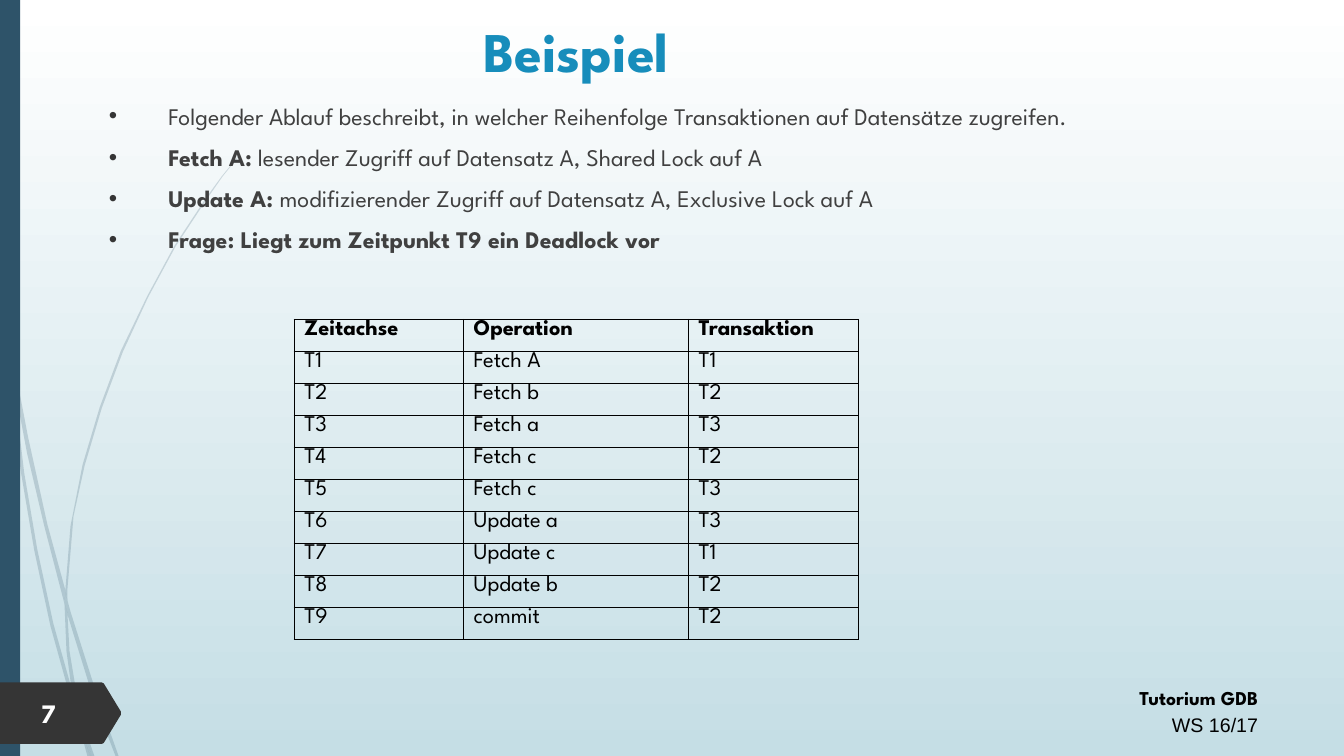
from pptx import Presentation
from pptx.dml.color import RGBColor
from pptx.enum import shapes, text
from pptx.oxml import parse_xml
from pptx.oxml.ns import nsdecls
from pptx.util import Pt

FONT = "League Spartan"
WHITE = RGBColor(0xFF, 0xFF, 0xFF)
BLACK = RGBColor(0, 0, 0)
PALE_BLUE = RGBColor(0xC5, 0xDE, 0xE5)
NAVY = RGBColor(0x2E, 0x53, 0x69)
CHARCOAL = RGBColor(0x35, 0x35, 0x35)
TITLE_BLUE = RGBColor(0x17, 0x8D, 0xBB)
BODY_GRAY = RGBColor(0x40, 0x40, 0x40)
GRID = Pt(0.72)

deck = Presentation()
deck.slide_width, deck.slide_height = Pt(960), Pt(540)
page = deck.slides.add_slide(deck.slide_layouts[6])
background = page.background.fill
background.gradient()
background.gradient_angle = 270
for stop, color in zip(background.gradient_stops, (WHITE, PALE_BLUE)):
    stop.color.rgb = color


def add_outline(points, color):
    builder = page.shapes.build_freeform(*points[0], scale=GRID)
    builder.add_line_segments(points[1:], close=True)
    outline = builder.convert_to_shape()
    outline.shadow.inherit = False
    outline.fill.solid()
    outline.fill.fore_color.rgb = color
    outline.line.fill.background()
    return outline


def add_text(left, top, width, height, lines, size, color, anchor=text.MSO_ANCHOR.MIDDLE):
    frame = page.shapes.add_textbox(Pt(left), Pt(top), Pt(width), Pt(height)).text_frame
    frame.word_wrap = True
    frame.vertical_anchor = anchor
    for index, spans in enumerate(lines):
        para = frame.paragraphs[0] if index == 0 else frame.add_paragraph()
        para.font.name, para.font.size = FONT, Pt(size)
        para.font.color.rgb = color
        for content, bold in spans:
            span = para.add_run()
            span.text, span.font.bold = content, bold
    return frame.paragraphs


stems = [
    [(8, 350), (6, 322), (0, 282), (0, 299), (8, 344)],
    [(44, 522), (64, 599), (65, 586), (47, 520), (28, 434), (11, 345), (13, 376), (27, 450)],
    [(70, 607), (67, 596), (67, 610), (93, 694), (115, 751), (118, 751), (97, 692)],
    [(91, 751), (94, 751), (80, 711)],
    [(71, 683), (53, 619), (37, 545), (24, 469), (13, 376), (8, 350), (13, 410), (21, 470),
     (34, 546), (50, 621), (70, 693), (77, 714), (75, 707)],
    [(64, 599), (66, 646), (71, 683), (73, 692), (80, 711), (79, 706), (69, 646), (67, 610),
     (67, 608)],
    [(67, 584), (73, 512), (84, 462), (101, 405), (122, 349), (147, 295), (174, 245), (205, 198),
     (221, 175), (238, 154), (238, 153), (220, 175), (204, 197), (173, 244), (146, 294),
     (120, 348), (99, 404), (82, 461), (70, 522), (65, 584), (65, 586), (67, 596)],
    [(77, 714), (87, 751), (90, 751)],
    [(67, 608), (67, 596), (65, 586), (64, 599)],
    [(74, 692), (71, 683), (75, 707), (77, 714), (90, 751), (91, 751), (80, 711)],
]
for points in stems:
    stem = add_outline(points, NAVY)
    tint = stem._element.spPr.find(".//{*}srgbClr")
    tint.append(parse_xml(f'<a:alpha {nsdecls("a")} val="20000"/>'))

side_bar = page.shapes.add_shape(shapes.MSO_SHAPE.RECTANGLE, 0, 0, Pt(14.4), Pt(540))
side_bar.shadow.inherit = False
side_bar.fill.solid()
side_bar.fill.fore_color.rgb = NAVY
side_bar.line.fill.background()

footer = add_text(531.4, 483.8, 374.4, 46,
                  [[("Tutorium GDB", True)], [("WS 16/17", False)]], 14, BLACK)
for para in footer:
    para.alignment = text.PP_ALIGN.RIGHT
    para.line_spacing = 1.14
footer[1].font.name = "Arial"

add_outline([(120, 709), (103, 737), (101, 738), (0, 738), (0, 677), (101, 677), (103, 678),
             (120, 706)], CHARCOAL)
add_text(22.3, 493.9, 50.4, 30.2, [[("7", True)]], 19, WHITE)
title = add_text(88.6, 6.5, 645.8, 58.3, [[("Beispiel", True)]], 40, TITLE_BLUE)
title[0].alignment = text.PP_ALIGN.CENTER

rows = [
    ("Zeitachse", "Operation", "Transaktion"),
    ("T1", "Fetch A", "T1"),
    ("T2", "Fetch b", "T2"),
    ("T3", "Fetch a", "T3"),
    ("T4", "Fetch c", "T2"),
    ("T5", "Fetch c", "T3"),
    ("T6", "Update a", "T3"),
    ("T7", "Update c", "T1"),
    ("T8", "Update b", "T2"),
    ("T9", "commit", "T2"),
]
widths = (121, 160.6, 121.7)
row_height = 22.9
schedule = page.shapes.add_table(len(rows), len(widths), Pt(210.2), Pt(228.2),
                                 Pt(sum(widths)), Pt(row_height * len(rows))).table
schedule.first_row = schedule.horz_banding = False
for column, width in zip(schedule.columns, widths):
    column.width = Pt(width)
for row_index, values in enumerate(rows):
    schedule.rows[row_index].height = Pt(row_height)
    for column_index, value in enumerate(values):
        cell = schedule.cell(row_index, column_index)
        cell.text = value
        cell.margin_top = cell.margin_bottom = 0
        font = cell.text_frame.paragraphs[0].font
        font.name, font.size, font.bold = FONT, Pt(16), row_index == 0
        font.color.rgb = BLACK
        properties = cell._tc.get_or_add_tcPr()
        for side in ("lnL", "lnR", "lnT", "lnB"):
            properties.append(parse_xml(
                f'<a:{side} {nsdecls("a")} w="{Pt(1)}"><a:solidFill>'
                f'<a:srgbClr val="{BLACK}"/></a:solidFill></a:{side}>'))
        cell.fill.background()

statements = [
    [("Folgender Ablauf beschreibt, in welcher Reihenfolge Transaktionen auf "
      "Datensätze zugreifen. ", False)],
    [("Fetch A:", True), (" lesender Zugriff auf Datensatz A, Shared Lock auf A", False)],
    [("Update A: ", True),
     ("modifizierender Zugriff auf Datensatz A, Exclusive Lock auf A", False)],
    [("Frage: Liegt zum Zeitpunkt T9 ein Deadlock vor", True)],
]
for para in add_text(70.6, 64.8, 819.4, 360, statements, 17, BODY_GRAY, text.MSO_ANCHOR.TOP):
    para.line_spacing = 1.2
    para.space_before = Pt(5)
    layout = para._p.get_or_add_pPr()
    layout.set("marL", str(Pt(42.5)))
    layout.set("indent", str(Pt(-42.5)))
    bullet_parts = (f'<a:buClr {nsdecls("a")}><a:srgbClr val="{CHARCOAL}"/></a:buClr>',
                    f'<a:buFont {nsdecls("a")} typeface="Arial"/>',
                    f'<a:buChar {nsdecls("a")} char="•"/>')
    for offset, part in enumerate(bullet_parts):
        layout.insert(2 + offset, parse_xml(part))

deck.save("out.pptx")
